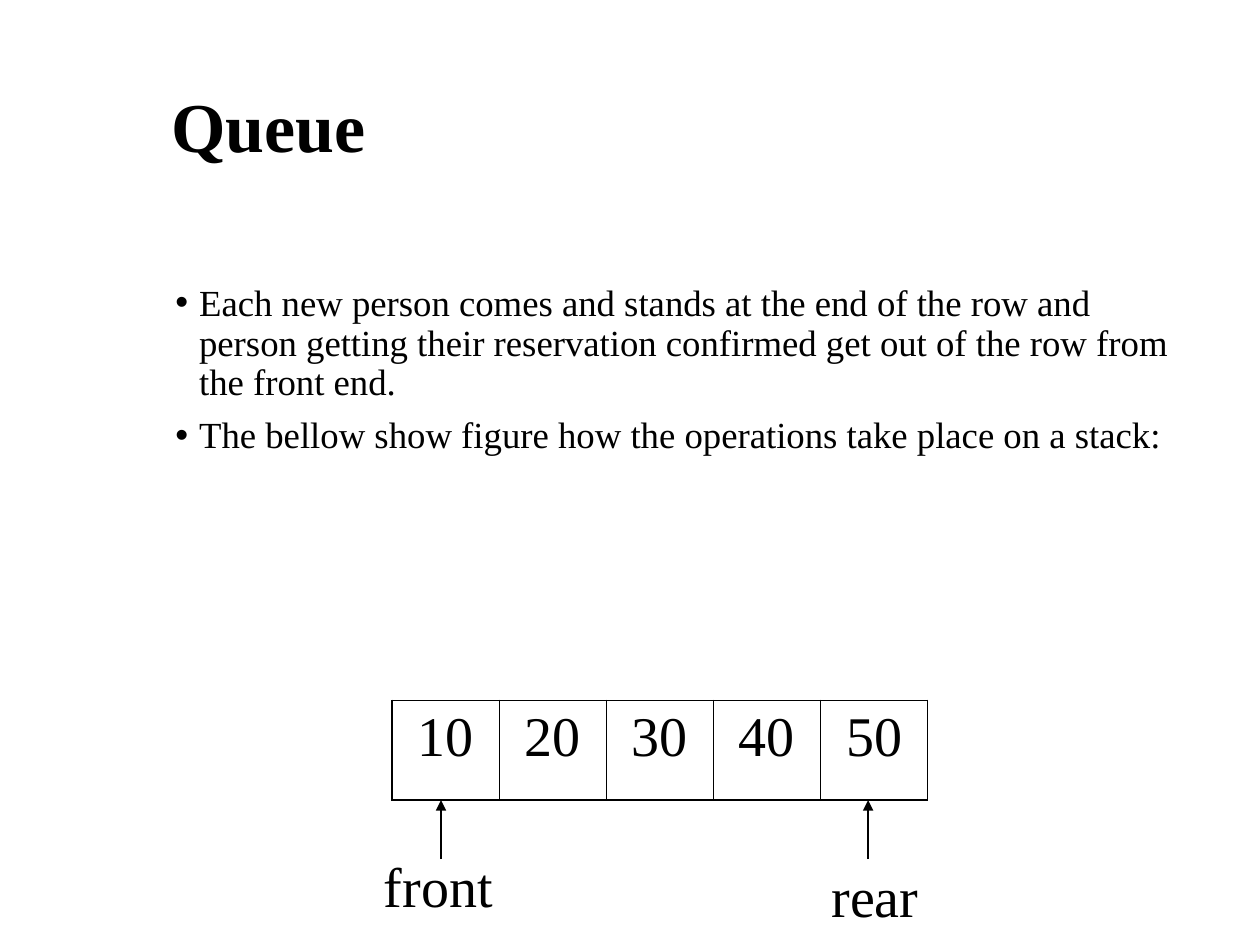
from lxml import etree
from pptx import Presentation
from pptx.dml.color import RGBColor
from pptx.enum.shapes import MSO_CONNECTOR
from pptx.enum.text import MSO_ANCHOR, MSO_AUTO_SIZE, PP_ALIGN
from pptx.oxml.ns import qn
from pptx.util import Cm, Pt

STRAIGHT = MSO_CONNECTOR.STRAIGHT
MIDDLE = MSO_ANCHOR.MIDDLE
NO_AUTOFIT = MSO_AUTO_SIZE.NONE
LEFT, CENTER = PP_ALIGN.LEFT, PP_ALIGN.CENTER

FONT = "Times New Roman"
COLORS = {"ink": "000000"}
TITLE = "Queue"
BULLETS = [
    "Each new person comes and stands at the end of the row and person "
    "getting their reservation confirmed get out of the row from the front end.",
    "The bellow show figure how the operations take place on a stack:",
]
QUEUE_VALUES = [10, 20, 30, 40, 50]
QUEUE_LEFT, QUEUE_TOP = 7.9, 14.12
CELL_WIDTH, CELL_HEIGHT = 2.16, 2.01
OUTER_BORDER, INNER_BORDER = Pt(1.08), Pt(0.45)
ARROW_LENGTH = 1.19
# text, arrow x, label left, label top, label width
POINTERS = [
    ("front", 8.89, 7.49, 16.92, 2.79),
    ("rear", 17.5, 16.51, 17.12, 2.39),
]


def place(shape, left, top, width, height):
    shape.left, shape.top = Cm(left), Cm(top)
    shape.width, shape.height = Cm(width), Cm(height)


def format_paragraph(paragraph, size, alignment=LEFT, bold=False):
    paragraph.alignment = alignment
    font = paragraph.font
    font.name, font.size, font.bold = FONT, Pt(size), bold
    font.color.rgb = RGBColor.from_string(COLORS["ink"])


def fill_title(title):
    place(title, 3.2, 0.58, 21.64, 4.06)
    frame = title.text_frame
    frame.text = TITLE
    frame.auto_size = NO_AUTOFIT
    frame.vertical_anchor = MIDDLE
    paragraph = frame.paragraphs[0]
    paragraph.line_spacing = 0.9
    format_paragraph(paragraph, 40, bold=True)


def fill_bullets(body):
    place(body, 3.28, 5.61, 20.8, 8.92)
    frame = body.text_frame
    frame.text = "\n".join(BULLETS)
    frame.auto_size = NO_AUTOFIT
    for paragraph in frame.paragraphs:
        paragraph.line_spacing = 0.9
        paragraph.space_before = Pt(7.5)
        format_paragraph(paragraph, 21)
        properties = paragraph._p.get_or_add_pPr()
        properties.set("marL", str(Cm(0.48)))
        properties.set("indent", str(Cm(-0.48)))
        etree.SubElement(properties, qn("a:buFont")).set("typeface", "Arial")
        etree.SubElement(properties, qn("a:buChar")).set("char", "•")
        # The schema wants the bullet before the default run properties.
        properties.append(properties.find(qn("a:defRPr")))


def set_borders(cell, widths):
    """Draw the left, right, top and bottom borders, in that order."""
    properties = cell._tc.get_or_add_tcPr()
    for index, (side, width) in enumerate(zip("LRTB", widths)):
        line = etree.Element(qn(f"a:ln{side}"), w=str(width))
        fill = etree.SubElement(line, qn("a:solidFill"))
        etree.SubElement(fill, qn("a:srgbClr")).set("val", COLORS["ink"])
        properties.insert(index, line)


def add_queue_table(slide):
    count = len(QUEUE_VALUES)
    table = slide.shapes.add_table(
        1, count, Cm(QUEUE_LEFT), Cm(QUEUE_TOP),
        Cm(CELL_WIDTH * count), Cm(CELL_HEIGHT)).table
    table.first_row = table.horz_banding = False
    for column, value in enumerate(QUEUE_VALUES):
        cell = table.cell(0, column)
        cell.text = str(value)
        cell.fill.background()
        format_paragraph(cell.text_frame.paragraphs[0], 32, CENTER)
        left = OUTER_BORDER if column == 0 else INNER_BORDER
        right = OUTER_BORDER if column == count - 1 else INNER_BORDER
        set_borders(cell, (left, right, OUTER_BORDER, OUTER_BORDER))


def add_up_arrow(slide, x, tip, length):
    arrow = slide.shapes.add_connector(
        STRAIGHT, Cm(x), Cm(tip + length), Cm(x), Cm(tip))
    arrow.line.color.rgb = RGBColor.from_string(COLORS["ink"])
    arrow.line.width = Pt(0.75)
    line = arrow.line._get_or_add_ln()
    etree.SubElement(line, qn("a:tailEnd")).set("type", "triangle")
    etree.SubElement(arrow._element.spPr, qn("a:effectLst"))


def add_label(slide, text, left, top, width):
    box = slide.shapes.add_textbox(Cm(left), Cm(top), Cm(width), Cm(1.63))
    frame = box.text_frame
    frame.word_wrap = True
    frame.margin_top = Cm(0.24)
    frame.text = text
    format_paragraph(frame.paragraphs[0], 32)


def main():
    presentation = Presentation()
    presentation.slide_width, presentation.slide_height = Cm(25.4), Cm(19.05)
    slide = presentation.slides.add_slide(presentation.slide_layouts[1])
    fill_title(slide.shapes.title)
    fill_bullets(slide.placeholders[1])
    add_queue_table(slide)
    for text, arrow_x, left, top, width in POINTERS:
        add_up_arrow(slide, arrow_x, QUEUE_TOP + CELL_HEIGHT, ARROW_LENGTH)
        add_label(slide, text, left, top, width)
    presentation.save("out.pptx")


if __name__ == "__main__":
    main()
